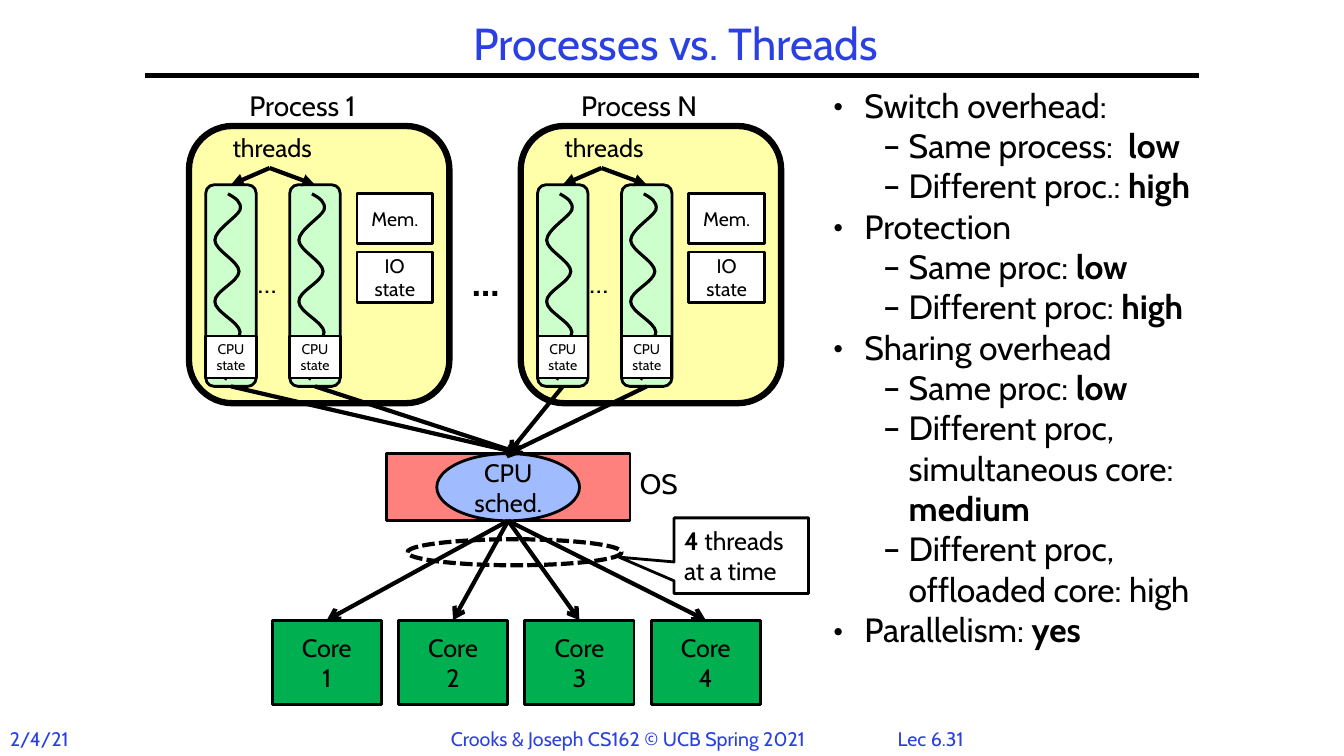
"""Build the slide that compares processes with threads."""
from lxml.etree import SubElement
from pptx import Presentation
from pptx.dml.color import RGBColor
from pptx.enum.dml import MSO_LINE
from pptx.enum.shapes import MSO_CONNECTOR, MSO_SHAPE
from pptx.enum.text import MSO_ANCHOR, PP_ALIGN
from pptx.oxml.ns import qn
from pptx.util import Inches, Pt

COLORS = {
    "black": "000000", "white": "FFFFFF", "heading": "2A40E2", "process": "FFFFAA",
    "thread": "CCFFCC", "system": "FF817E", "scheduler": "A0BCFE", "core": "00B050",
}
COLUMNS = 160

presentation = Presentation()
presentation.slide_width = Inches(40 / 3)
presentation.slide_height = Inches(7.5)
slide = presentation.slides.add_slide(presentation.slide_layouts[6])
cell = presentation.slide_width // COLUMNS


def write(shape, lines, size, color="black", alignment=PP_ALIGN.LEFT, wrap=True,
          anchor=MSO_ANCHOR.TOP, spacing=None):
    """Fill a shape with paragraphs; asterisks enclose bold words."""
    frame = shape.text_frame
    for name, value in {"word_wrap": wrap, "vertical_anchor": anchor}.items():
        setattr(frame, name, value)
    for number, line in enumerate(lines):
        paragraph = frame.add_paragraph() if number else frame.paragraphs[0]
        for name, value in {"alignment": alignment, "line_spacing": spacing}.items():
            setattr(paragraph, name, value)
        for position, segment in enumerate(line.split("*")):
            for part_number, part in enumerate(segment.split("\v")):
                if part_number:
                    paragraph.add_line_break()
                if part:
                    run = paragraph.add_run()
                    run.text = part
                    run.font.color.rgb = RGBColor.from_string(COLORS[color])
                    font_format = {"name": "Cabin", "size": Pt(size), "bold": position % 2 == 1}
                    for name, value in font_format.items():
                        setattr(run.font, name, value)
    return frame


def add_block(kind, box, fill=None, weight=2):
    """Add an outlined preset shape placed in grid cells."""
    shape = slide.shapes.add_shape(kind, *[round(length * cell) for length in box])
    shape.shadow.inherit = False
    if fill:
        shape.fill.solid()
        shape.fill.fore_color.rgb = RGBColor.from_string(COLORS[fill])
    else:
        shape.fill.background()
    shape.line.color.rgb = RGBColor.from_string(COLORS["black"])
    shape.line.width = Pt(weight)
    return shape


centered = {"alignment": PP_ALIGN.CENTER, "anchor": MSO_ANCHOR.MIDDLE}
labels = [
    ((24, 2, 113, 7), "Processes vs. Threads", 32, "heading", {**centered, "spacing": 0.9}),
    ((105, 85.9, 11.6, 4), "Lec 6.31", 14, "heading", {"alignment": PP_ALIGN.CENTER}),
    ((0, 85.9, 11, 4), "2/4/21", 14, "heading", {}),
    ((52.5, 85.9, 48, 4), "Crooks & Joseph CS162 © UCB Spring 2021", 14, "heading", {}),
    ((75, 55, 9, 5.3), "OS", 20, "black", {}),
    ((55, 30, 7.2, 6.8), "*…*", 28, "black", {}),
]

system = add_block(MSO_SHAPE.RECTANGLE, (46, 54, 29, 8), "system")
scheduler = add_block(MSO_SHAPE.OVAL, (52, 54, 17, 8), "scheduler")
write(scheduler, ["CPU sched."], 18, **centered)

callout = add_block(MSO_SHAPE.RECTANGULAR_CALLOUT, (80.25, 61.65, 16, 9), "white")
callout.adjustments[0] = -0.91
callout.adjustments[1] = 0.02
write(callout, ["*4* threads at a time"], 18, anchor=MSO_ANCHOR.MIDDLE)

wave_points = [
    (0.22, 0.09),
    (0.29, 0.13), (0.36, 0.17), (0.34, 0.25),
    (0.31, 0.32), (0.09, 0.45), (0.09, 0.55),
    (0.09, 0.65), (0.33, 0.76), (0.33, 0.86),
    (0.33, 0.96), (0.08, 1.06), (0.09, 1.16),
    (0.09, 1.26), (0.33, 1.36), (0.34, 1.46),
    (0.34, 1.57), (0.12, 1.7), (0.1, 1.77),
    (0.08, 1.85), (0.21, 1.93), (0.21, 1.93),
]

arrows = [((17.3, 9), (142.7, 9), None, None, None)]
for process_name, left, meeting_column in (("1", 22.5, 62), ("N", 62, 60.5)):
    labels += [
        ((left + 6, 10, 18, 5.3), f"Process {process_name}", 20, "black", {}),
        ((left + 4, 15.2, 14, 4.8), "threads", 18, "black", {}),
        ((left + 7, 31, 5.8, 5.3), "…", 20, "black", {}),
    ]
    add_block(MSO_SHAPE.ROUNDED_RECTANGLE, (left, 15, 31, 33), "process", 4.5)
    for top, lines in ((23, ["Mem."]), (30, ["IO", "state"])):
        write(add_block(MSO_SHAPE.RECTANGLE, (left + 20, top, 9, 6), "white"), lines, 14, **centered)
    for thread_left in (left + 2, left + 12):
        thread = add_block(MSO_SHAPE.ROUNDED_RECTANGLE, (thread_left, 22, 6, 24), "thread")
        track = [(thread_left * cell + Inches(x), 22 * cell + Inches(y)) for x, y in wave_points]
        builder = slide.shapes.build_freeform(*track[0])
        builder.add_line_segments(track[1:], close=False)
        wave = builder.convert_to_shape()
        outline = next(wave._element.iter(qn("a:path")))
        segments = outline.findall(qn("a:lnTo"))
        for first in range(0, len(segments), 3):
            curve = SubElement(outline, qn("a:cubicBezTo"))
            for segment in segments[first:first + 3]:
                curve.append(segment[0])
                outline.remove(segment)
        wave.shadow.inherit = False
        wave.fill.background()
        wave.line.color.rgb = RGBColor.from_string(COLORS["black"])
        wave.line.width = Pt(2.25)
        state = add_block(MSO_SHAPE.RECTANGLE, (thread_left, 40, 6, 5), "white")
        write(state, ["CPU", "state"], 10, wrap=False, **centered)
        middle = thread_left + 3
        target = (system, 0) if process_name == "N" else None
        arrows += [
            ((left + 9.6, 20), (middle, 22), None, (thread, 0), "triangle"),
            ((middle, 46), (meeting_column, 54), (thread, 2), target, "arrow"),
        ]

for number in range(4):
    core_left = 32.4 + 15.04 * number
    core = add_block(MSO_SHAPE.RECTANGLE, (core_left, 73.83, 13, 10), "core")
    write(core, [f"Core\v{number + 1}"], 18, **centered)
    arrows.append(((60.5, 62), (core_left + 6.5, 73.83), (system, 2), (core, 0), "arrow"))

for start, end, source, target, head in arrows:
    ends = [round(length * cell) for length in (*start, *end)]
    connector = slide.shapes.add_connector(MSO_CONNECTOR.STRAIGHT, *ends)
    if source:
        connector.begin_connect(*source)
    if target:
        connector.end_connect(*target)
    connector.line.color.rgb = RGBColor.from_string(COLORS["black"])
    connector.line.width = Pt(3)
    if head:
        SubElement(connector.line._get_or_add_ln(), qn("a:tailEnd"), type=head)
    SubElement(connector._element.spPr, qn("a:effectLst"))

bundle = add_block(MSO_SHAPE.OVAL, (48.5, 64.2, 25.5, 3.1), weight=3)
bundle.line.dash_style = MSO_LINE.SQUARE_DOT

for box, text, size, color, settings in labels:
    label = slide.shapes.add_textbox(*[round(length * cell) for length in box])
    write(label, [text], size, color, **settings)

points = [
    (0, "Switch overhead:"),
    (1, "Same process:  *low*"),
    (1, "Different proc.: *high*"),
    (0, "Protection"),
    (1, "Same proc: *low*"),
    (1, "Different proc: *high*"),
    (0, "Sharing overhead"),
    (1, "Same proc: *low*"),
    (1, "Different proc, \vsimultaneous core: *medium*"),
    (1, "Different proc,\voffloaded core: high"),
    (0, "Parallelism: *yes*"),
]
bullet_formats = [("•", 0.31, -0.31), ("–", 0.75, -0.25)]
body = slide.shapes.add_textbox(*[round(length * cell) for length in (98, 9.5, 58, 71)])
body_frame = write(body, [text for level, text in points], 24)
for paragraph, (level, text) in zip(body_frame.paragraphs, points):
    symbol, margin, indent = bullet_formats[level]
    paragraph.level = level
    properties = paragraph._p.get_or_add_pPr()
    properties.set("marL", str(Inches(margin)))
    properties.set("indent", str(Inches(indent)))
    SubElement(properties, qn("a:buFont"), typeface="Cabin")
    SubElement(properties, qn("a:buChar"), char=symbol)

presentation.save("out.pptx")
